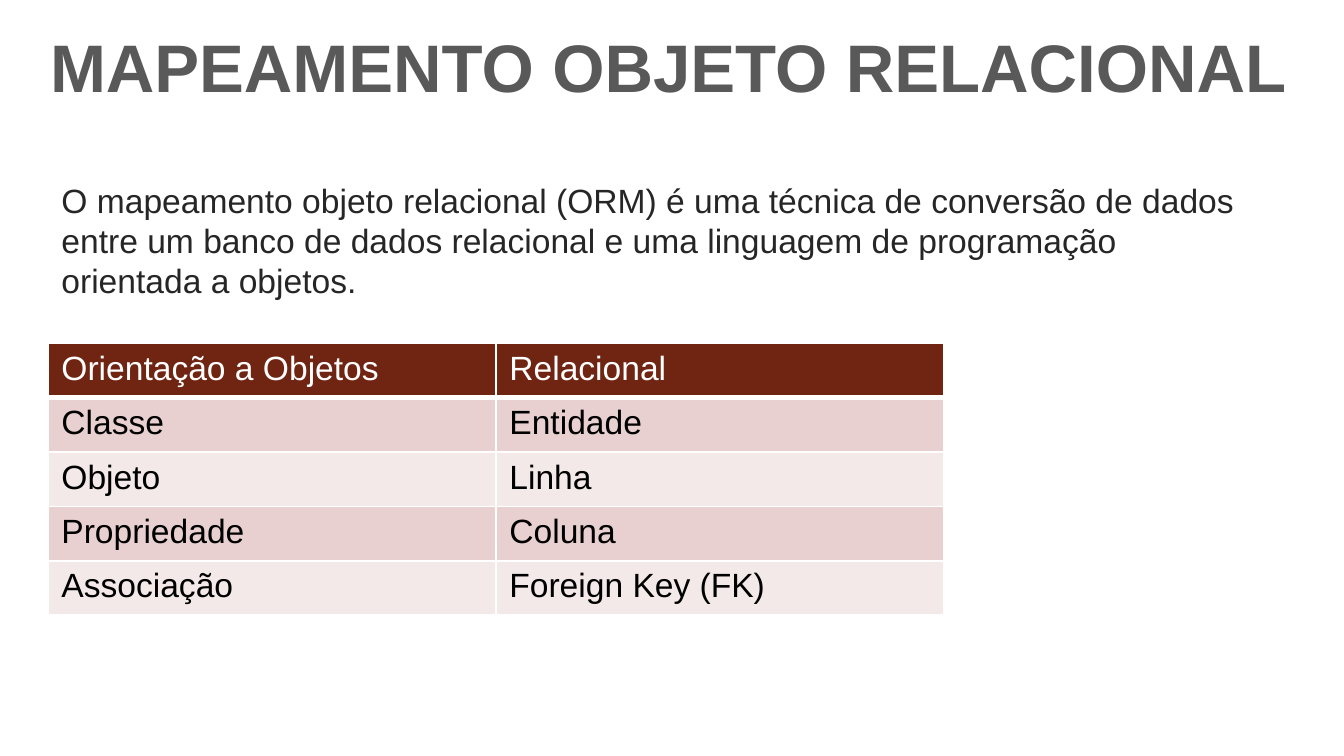
from lxml.etree import SubElement
from pptx import Presentation
from pptx.dml.color import RGBColor
from pptx.enum.text import MSO_ANCHOR, MSO_AUTO_SIZE, PP_ALIGN
from pptx.oxml.ns import qn
from pptx.util import Pt

# Content
HEADING = "MAPEAMENTO OBJETO RELACIONAL"
DEFINITION = [
    "O mapeamento objeto relacional (ORM) é uma técnica de conversão de dados",
    "entre um banco de dados relacional e uma linguagem de programação",
    "orientada a objetos.",
]
EQUIVALENTS = [
    ("Orientação a Objetos", "Relacional"),
    ("Classe", "Entidade"),
    ("Objeto", "Linha"),
    ("Propriedade", "Coluna"),
    ("Associação", "Foreign Key (FK)"),
]

# Style
FONT = "Arial"
WHITE = RGBColor(0xFF, 0xFF, 0xFF)
BLACK = RGBColor(0, 0, 0)
HEADING_GRAY = RGBColor(0x59, 0x59, 0x59)
BODY_GRAY = RGBColor(0x26, 0x26, 0x26)
HEADER_RED = RGBColor(0x70, 0x25, 0x12)
BANDS = (RGBColor(0xF4, 0xE9, 0xE9), RGBColor(0xE8, 0xD0, 0xD0))

# Layout in px
SLIDE_WIDTH, SLIDE_HEIGHT = 1344, 756
LEFT = 48
COLUMN_WIDTH, ROW_HEIGHT = 448, 54.5


def px(length):
    return round(length * 914400 / 134.4)


def place(shape, left, top, width, height):
    shape.left, shape.top = px(left), px(top)
    shape.width, shape.height = px(width), px(height)
    frame = shape.text_frame
    frame.word_wrap = True
    frame.auto_size = MSO_AUTO_SIZE.SHAPE_TO_FIT_TEXT
    frame.vertical_anchor = MSO_ANCHOR.TOP
    return frame


def style(paragraph, size, color, bold=False, align=PP_ALIGN.LEFT):
    paragraph.alignment = align
    for run in paragraph.runs:
        run.font.name, run.font.size = FONT, Pt(size)
        run.font.color.rgb, run.font.bold = color, bold


def add_borders(cell, bottom_width):
    properties = cell._tc.get_or_add_tcPr()
    widths = {"a:lnL": 1, "a:lnR": 1, "a:lnT": 1, "a:lnB": bottom_width}
    for position, (side, width) in enumerate(widths.items()):
        line = SubElement(properties, qn(side), w=str(Pt(width)))
        properties.insert(position, line)
        fill = SubElement(line, qn("a:solidFill"))
        SubElement(fill, qn("a:srgbClr"), val=str(WHITE))


presentation = Presentation()
presentation.slide_width = px(SLIDE_WIDTH)
presentation.slide_height = px(SLIDE_HEIGHT)
slide = presentation.slides.add_slide(presentation.slide_layouts[1])

# Heading
heading = place(slide.shapes.title, 0, 19, SLIDE_WIDTH, 95)
heading.margin_left = px(50)
heading.margin_right = 0
heading.text = HEADING
style(heading.paragraphs[0], 36, HEADING_GRAY, bold=True)

# Definition
definition = place(slide.placeholders[1], LEFT, 173, 1248, 136)
definition.text = "\n".join(DEFINITION)
for paragraph in definition.paragraphs:
    style(paragraph, 18, BODY_GRAY, align=PP_ALIGN.JUSTIFY)
    paragraph.space_before = Pt(0)
    properties = paragraph._p.get_or_add_pPr()
    properties.set("marL", "0")
    properties.set("indent", "0")
    SubElement(properties, qn("a:buNone"))

# Table of equivalents
rows, columns = len(EQUIVALENTS), len(EQUIVALENTS[0])
equivalents = slide.shapes.add_table(
    rows, columns, px(LEFT), px(343),
    px(columns * COLUMN_WIDTH), px(rows * ROW_HEIGHT)).table
for row, terms in enumerate(EQUIVALENTS):
    is_header = row == 0
    for column, term in enumerate(terms):
        cell = equivalents.cell(row, column)
        cell.text = term
        style(cell.text_frame.paragraphs[0], 18, WHITE if is_header else BLACK)
        cell.fill.solid()
        cell.fill.fore_color.rgb = HEADER_RED if is_header else BANDS[row % 2]
        add_borders(cell, 3 if is_header else 1)

presentation.save("out.pptx")
